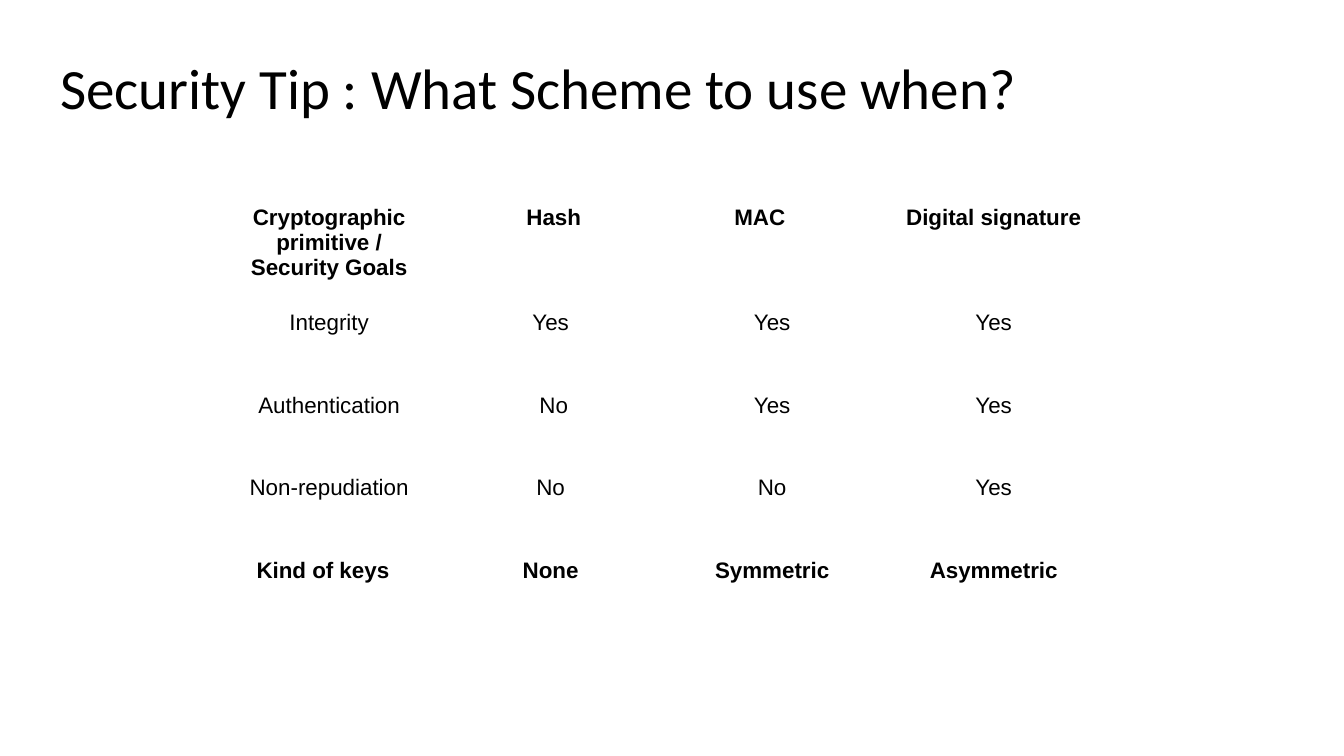
from pptx import Presentation
from pptx.dml.color import RGBColor
from pptx.enum.text import MSO_ANCHOR, PP_ALIGN
from pptx.util import Pt

BLACK = RGBColor(0, 0, 0)
WHITE = RGBColor(255, 255, 255)

ROWS = [
    ["Cryptographic primitive /\nSecurity Goals", "Hash", "MAC", "Digital signature"],
    ["Integrity", "Yes", "Yes", "Yes"],
    ["Authentication", "No", "Yes", "Yes"],
    ["Non-repudiation", "No", "No", "Yes"],
    ["Kind of keys", "None", "Symmetric", "Asymmetric"],
]
BOLD_ROWS = {0, len(ROWS) - 1}
CENTER_SHIFTS = {(0, 1): 4.45, (0, 2): -17.8, (2, 1): 4.45, (4, 0): -8.9}


class SlideBuilder:
    title_format = {"name": "Calibri", "size": Pt(40.7), "bold": False}
    cell_format = {"name": "Arial", "size": Pt(16)}
    side_margin = 7.2

    def __init__(self, slide):
        self.slide = slide
        fill = slide.background.fill
        fill.solid()
        fill.fore_color.rgb = WHITE

    def add_span(self, para, text, formats):
        span = para.add_run()
        span.text = text
        for name, value in formats.items():
            setattr(span.font, name, value)
        span.font.color.rgb = BLACK

    def title(self, text, left, top, width, height):
        box = self.slide.shapes.add_textbox(Pt(left), Pt(top), Pt(width), Pt(height))
        frame = box.text_frame
        frame.word_wrap = True
        frame.vertical_anchor = MSO_ANCHOR.MIDDLE
        para = frame.paragraphs[0]
        para.line_spacing = 0.8
        self.add_span(para, text, self.title_format)

    def cell(self, cell, text, bold, shift):
        cell.fill.background()
        cell.margin_left = Pt(self.side_margin + max(shift, 0))
        cell.margin_right = Pt(self.side_margin + max(-shift, 0))
        frame = cell.text_frame
        for index, line in enumerate(text.split("\n")):
            para = frame.add_paragraph() if index else frame.paragraphs[0]
            para.alignment = PP_ALIGN.CENTER
            self.add_span(para, line, self.cell_format | {"bold": bold})

    def table(self, rows, left, top, width, heights):
        columns = len(rows[0])
        table = self.slide.shapes.add_table(
            len(rows), columns, Pt(left), Pt(top), Pt(width), Pt(sum(heights))
        ).table
        table.first_row = False
        table.horz_banding = False
        for column in table.columns:
            column.width = Pt(width / columns)
        for row, height in enumerate(heights):
            table.rows[row].height = Pt(height)
            for column, text in enumerate(rows[row]):
                shift = CENTER_SHIFTS.get((row, column), 0)
                self.cell(table.cell(row, column), text, row in BOLD_ROWS, shift)


def main():
    deck = Presentation()
    deck.slide_width = Pt(960)
    deck.slide_height = Pt(540)
    page = SlideBuilder(deck.slides.add_slide(deck.slide_layouts[6]))
    page.title("Security Tip : What Scheme to use when?", 36, 21.6, 768, 90)
    page.table(ROWS, 156, 143.3, 633, [75] + [59] * 4)
    deck.save("out.pptx")


if __name__ == "__main__":
    main()
